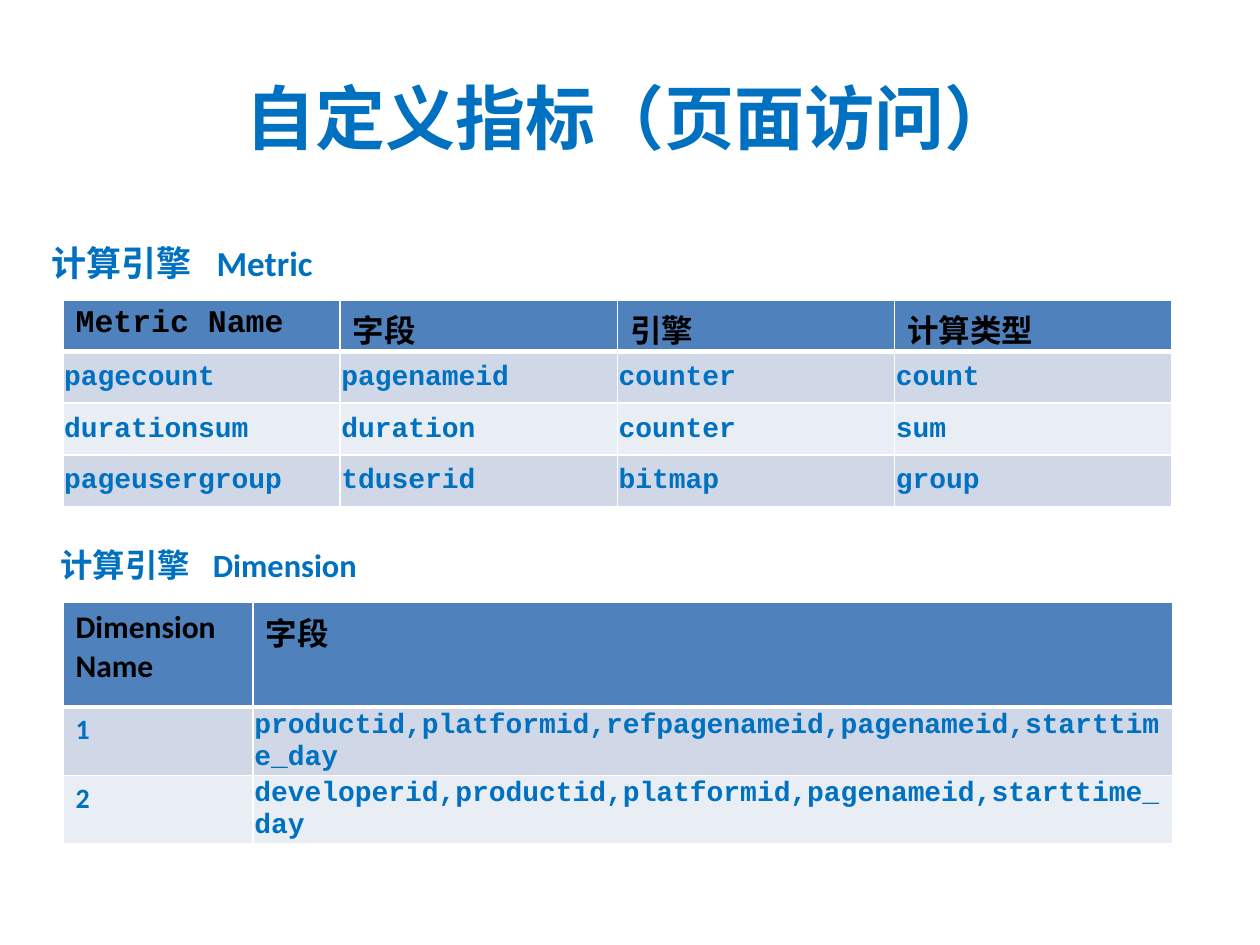
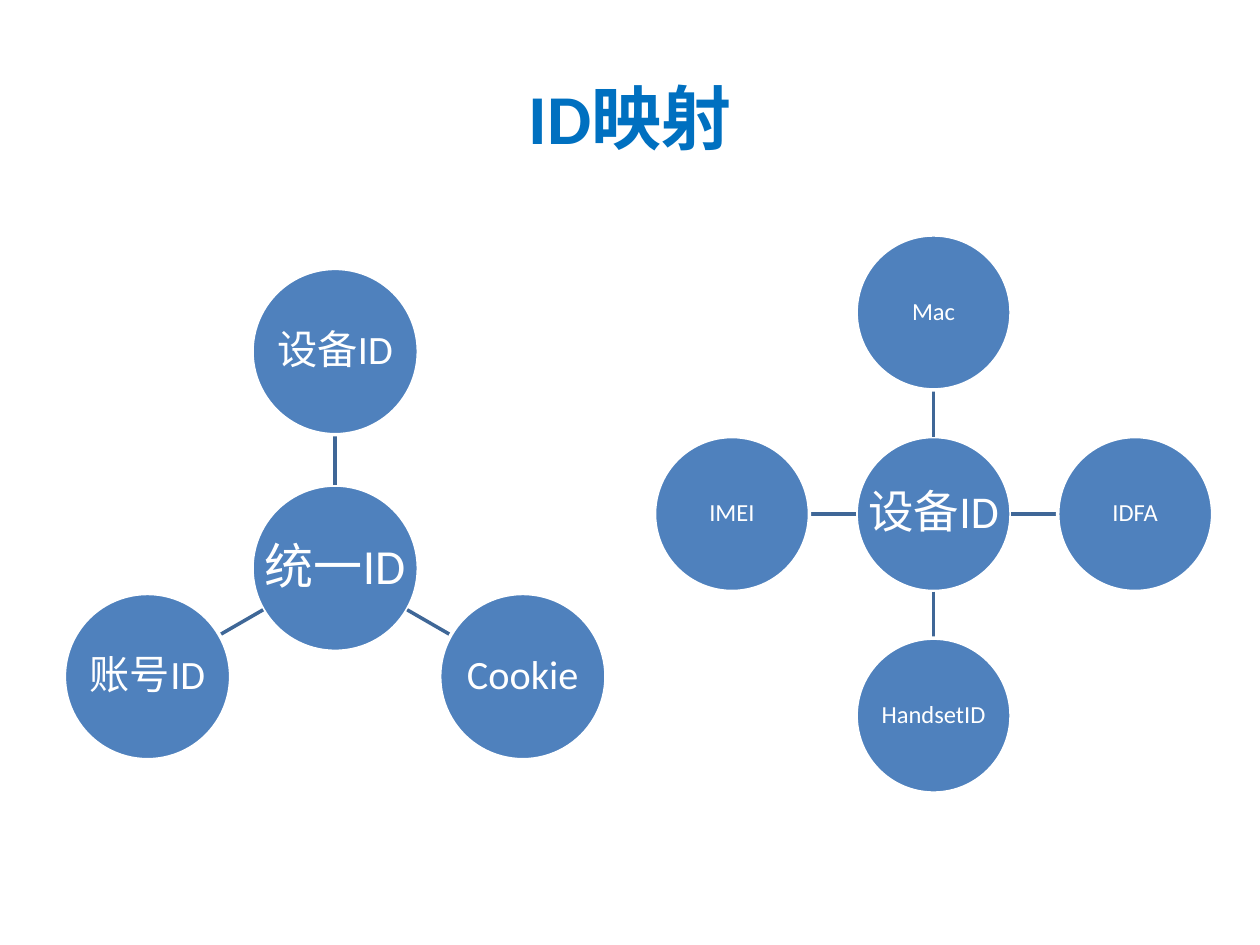
"""Build two slides: custom page-visit metrics and ID mapping."""
import math
from dataclasses import dataclass

import pptx
import pptx.dml.color
import pptx.enum.shapes
import pptx.enum.text
import pptx.oxml
import pptx.oxml.ns
import pptx.slide
import pptx.table
import pptx.text.text
import pptx.util
from pptx.util import Inches

COLORS = {
    "accent": "0070C0",
    "header": "4F81BD",
    "band_dark": "D0D8E8",
    "band_light": "E9EDF4",
    "link": "3F6797",
    "black": "000000",
    "white": "FFFFFF",
}
SANS = "Calibri"
MONO = "Courier New"
ALIGN = pptx.enum.text.PP_ALIGN
MIDDLE = pptx.enum.text.MSO_ANCHOR.MIDDLE


@dataclass
class TextStyle:
    size: float
    color: str
    bold: bool = True
    font: str = SANS


@dataclass
class Heading:
    text: str
    left: float
    top: float
    tab: float
    size: float


@dataclass
class Grid:
    top: float
    widths: list[float]
    heights: list[float]
    rows: list[list[str]]
    mono_cells: set[tuple[int, int]]


@dataclass
class Hub:
    text: str
    center_x: float
    center_y: float
    diameter: float
    orbit: float
    size: float
    satellite_size: float
    satellites: list[tuple[str, float]]


HEADINGS = [
    Heading("计算引擎\tMetric", 0.41, 1.79, 1.31, 20),
    Heading("计算引擎\tDimension", 0.48, 4.19, 1.21, 18.5),
]
METRIC_ROWS = [
    ["Metric Name", "字段", "引擎", "计算类型"],
    ["pagecount", "pagenameid", "counter", "count"],
    ["durationsum", "duration", "counter", "sum"],
    ["pageusergroup", "tduserid", "bitmap", "group"],
]
DIMENSION_ROWS = [
    ["Dimension Name", "字段"],
    ["1", "productid,platformid,refpagenameid,pagenameid,starttime_day"],
    ["2", "developerid,productid,platformid,pagenameid,starttime_day"],
]
GRIDS = [
    Grid(2.38, [2.2] * 4, [0.41] * 4, METRIC_ROWS,
         {(0, 0)} | {(row, column) for row in range(1, 4) for column in range(4)}),
    Grid(4.78, [1.51, 7.3], [0.83, 0.51, 0.51], DIMENSION_ROWS, {(1, 1), (2, 1)}),
]
HUBS = [
    Hub("统一ID", 2.66, 4.51, 1.32, 1.72, 28, 23,
        [("设备ID", -90), ("Cookie", 30), ("账号ID", 150)]),
    Hub("设备ID", 7.41, 4.08, 1.23, 1.6, 26, 14,
        [("Mac", -90), ("IDFA", 0), ("HandsetID", 90), ("IMEI", 180)]),
]


def rgb(name: str) -> pptx.dml.color.RGBColor:
    return pptx.dml.color.RGBColor.from_string(COLORS[name])


def format_runs(paragraph: pptx.text.text._Paragraph, style: TextStyle) -> None:
    for run in paragraph.runs:
        run.font.name = style.font
        run.font.size = pptx.util.Pt(style.size)
        run.font.bold = style.bold
        run.font.color.rgb = rgb(style.color)


def add_text(slide: pptx.slide.Slide, text: str, left: float, top: float, width: float,
             height: float, style: TextStyle) -> pptx.text.text._Paragraph:
    text_frame = slide.shapes.add_textbox(
        Inches(left), Inches(top), Inches(width), Inches(height)).text_frame
    text_frame.word_wrap = True
    text_frame.vertical_anchor = MIDDLE
    text_frame.margin_left = text_frame.margin_right = 0
    text_frame.text = text
    paragraph = text_frame.paragraphs[0]
    format_runs(paragraph, style)
    return paragraph


def add_titled_slide(presentation: pptx.presentation.Presentation,
                     title: str) -> pptx.slide.Slide:
    slide = presentation.slides.add_slide(presentation.slide_layouts[6])
    paragraph = add_text(slide, title, 0.5, 0.3, 9, 1.25, TextStyle(40, "accent"))
    paragraph.alignment = ALIGN.CENTER
    return slide


def add_heading(slide: pptx.slide.Slide, heading: Heading) -> None:
    paragraph = add_text(slide, heading.text, heading.left, heading.top, 2.8, 0.58,
                         TextStyle(heading.size, "accent"))
    properties = paragraph._p.get_or_add_pPr()
    tabs = pptx.oxml.parse_xml(
        f'<a:tabLst {pptx.oxml.ns.nsdecls("a")}>'
        f'<a:tab pos="{Inches(heading.tab)}" algn="l"/></a:tabLst>')
    properties.append(tabs)


def set_borders(cell: pptx.table._Cell, row: int) -> None:
    widths = {"L": 1, "R": 1, "T": 3 if row == 1 else 1, "B": 3 if row == 0 else 1}
    for side, width in widths.items():
        cell._tc.get_or_add_tcPr().append(pptx.oxml.parse_xml(
            f'<a:ln{side} {pptx.oxml.ns.nsdecls("a")} w="{pptx.util.Pt(width)}">'
            f'<a:solidFill><a:srgbClr val="{COLORS["white"]}"/></a:solidFill></a:ln{side}>'))


def add_grid(slide: pptx.slide.Slide, grid: Grid) -> None:
    table = slide.shapes.add_table(
        len(grid.heights), len(grid.widths), Inches(0.5), Inches(grid.top),
        Inches(sum(grid.widths)), Inches(sum(grid.heights))).table
    for column, width in zip(table.columns, grid.widths):
        column.width = Inches(width)
    for row, height in zip(table.rows, grid.heights):
        row.height = Inches(height)
    for row_index, texts in enumerate(grid.rows):
        for column_index, text in enumerate(texts):
            cell = table.cell(row_index, column_index)
            is_mono = (row_index, column_index) in grid.mono_cells
            is_header = row_index == 0
            set_borders(cell, row_index)
            cell.fill.solid()
            band = "band_dark" if row_index % 2 else "band_light"
            cell.fill.fore_color.rgb = rgb("header" if is_header else band)
            if is_mono and not is_header:
                cell.vertical_anchor = MIDDLE
                cell.margin_left = cell.margin_top = cell.margin_right = Inches(0.01)
                cell.margin_bottom = 0
            cell.text_frame.text = text
            format_runs(cell.text_frame.paragraphs[0], TextStyle(
                18 if is_header else 16, "black" if is_header else "accent",
                font=MONO if is_mono else SANS))


def add_circle(slide: pptx.slide.Slide, text: str, center_x: float, center_y: float,
               diameter: float, size: float) -> None:
    shape = slide.shapes.add_shape(
        pptx.enum.shapes.MSO_SHAPE.OVAL, Inches(center_x - diameter / 2),
        Inches(center_y - diameter / 2), Inches(diameter), Inches(diameter))
    shape.shadow.inherit = False
    shape.fill.solid()
    shape.fill.fore_color.rgb = rgb("header")
    shape.line.color.rgb = rgb("white")
    shape.line.width = pptx.util.Pt(2)
    text_frame = shape.text_frame
    text_frame.word_wrap = False
    text_frame.vertical_anchor = MIDDLE
    text_frame.margin_left = text_frame.margin_right = Inches(0.02)
    text_frame.margin_top = text_frame.margin_bottom = Inches(0.02)
    text_frame.text = text
    paragraph = text_frame.paragraphs[0]
    paragraph.alignment = ALIGN.CENTER
    paragraph.line_spacing = 0.9
    format_runs(paragraph, TextStyle(size, "white", bold=False))


def add_link(slide: pptx.slide.Slide, start: tuple[float, float],
             end: tuple[float, float]) -> None:
    connector = slide.shapes.add_connector(
        pptx.enum.shapes.MSO_CONNECTOR.STRAIGHT, *map(Inches, start + end))
    connector.line.color.rgb = rgb("link")
    connector.line.width = pptx.util.Pt(2)
    connector._element.spPr.append(
        pptx.oxml.parse_xml(f'<a:effectLst {pptx.oxml.ns.nsdecls("a")}/>'))


def add_hub(slide: pptx.slide.Slide, hub: Hub) -> None:
    def point(angle: float, distance: float) -> tuple[float, float]:
        return (hub.center_x + distance * math.cos(math.radians(angle)),
                hub.center_y + distance * math.sin(math.radians(angle)))

    radius = hub.diameter / 2
    add_circle(slide, hub.text, hub.center_x, hub.center_y, hub.diameter, hub.size)
    for text, angle in hub.satellites:
        add_link(slide, point(angle, radius), point(angle, hub.orbit - radius))
        add_circle(slide, text, *point(angle, hub.orbit), hub.diameter, hub.satellite_size)


def main() -> None:
    presentation = pptx.Presentation()
    presentation.slide_width = Inches(10)
    presentation.slide_height = Inches(7.5)

    metrics_slide = add_titled_slide(presentation, "自定义指标（页面访问）")
    for heading, grid in zip(HEADINGS, GRIDS):
        add_heading(metrics_slide, heading)
        add_grid(metrics_slide, grid)

    mapping_slide = add_titled_slide(presentation, "ID映射")
    for hub in HUBS:
        add_hub(mapping_slide, hub)

    presentation.save("out.pptx")


if __name__ == "__main__":
    main()
